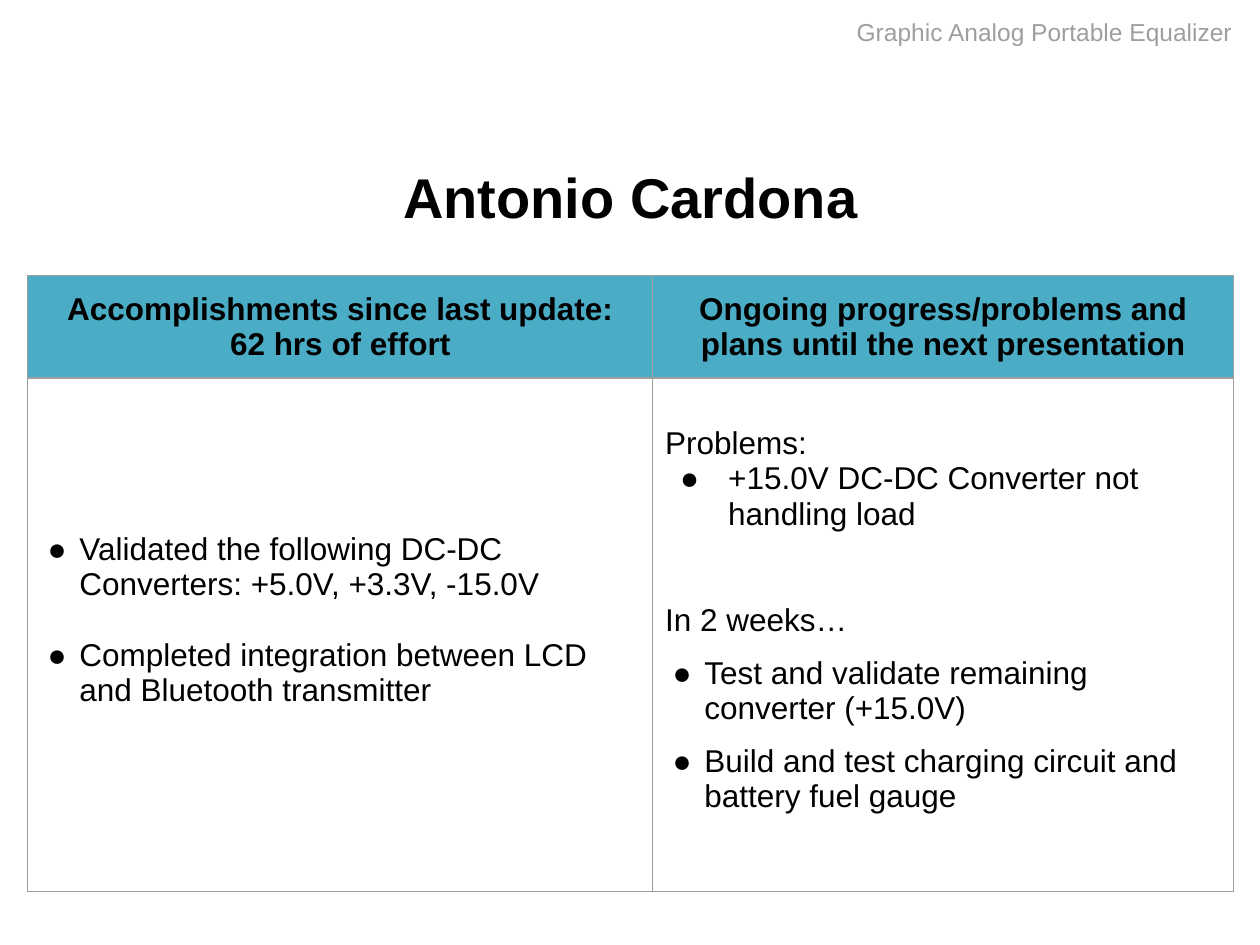
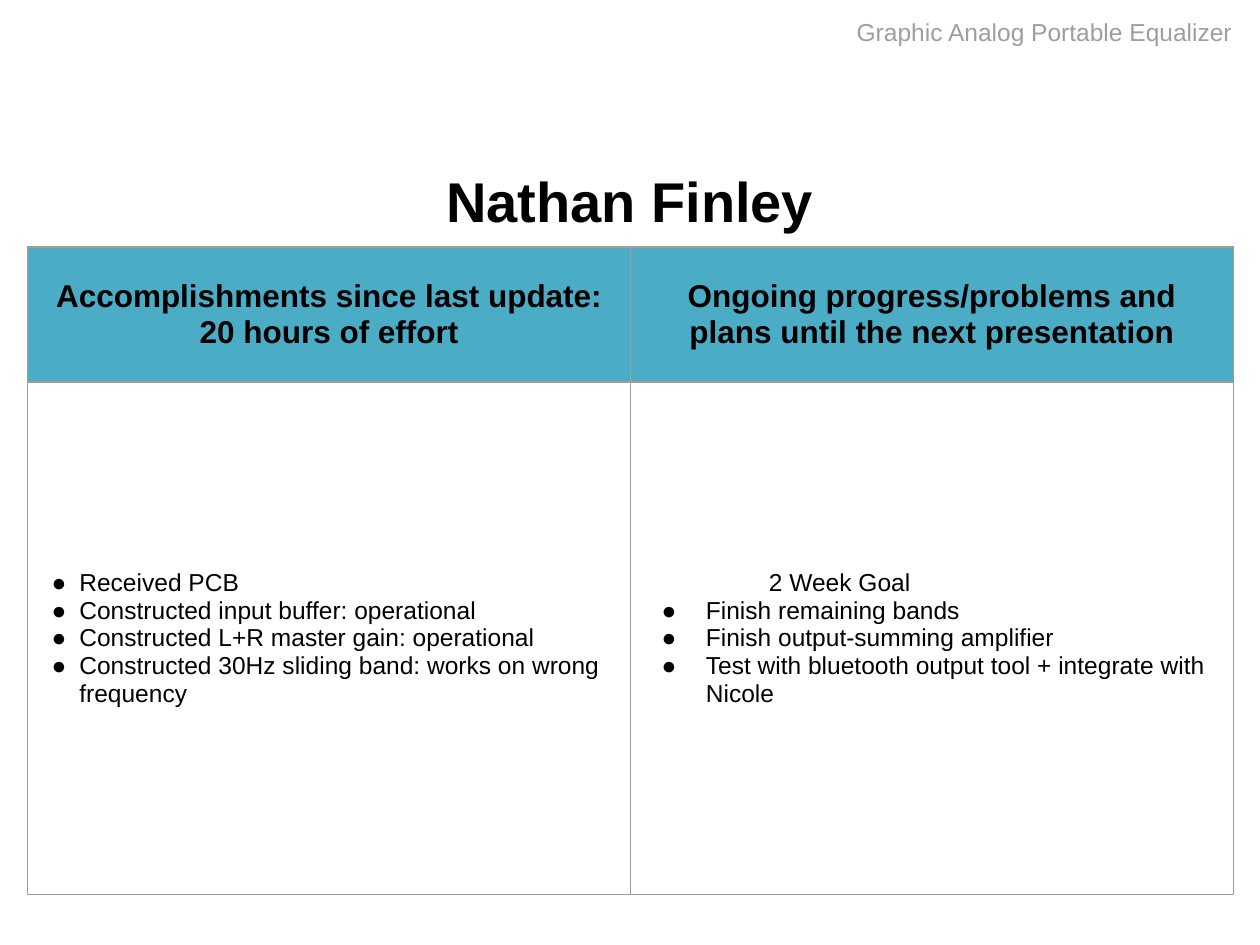
from dataclasses import dataclass
from itertools import product

from lxml.etree import SubElement
from pptx import Presentation
from pptx.dml.color import RGBColor
from pptx.enum.text import MSO_ANCHOR as Anchor, PP_ALIGN as Align
from pptx.oxml.ns import qn
from pptx.util import Cm, Pt

BLACK = RGBColor(0x00, 0x00, 0x00)
GRAY = RGBColor(0x9E, 0x9E, 0x9E)
TEAL = RGBColor(0x4B, 0xAC, 0xC6)
FONT = "Arial"
INSET = 0.25
TABLE_LEFT = 0.56
PLANS_HEADING = ["Ongoing progress/problems and plans until the next presentation"]


@dataclass
class Line:
    text: str
    indent: float = 0
    hanging: float = 0
    before: float = 0


@dataclass
class Column:
    width: float
    heading: list
    lines: list
    top_inset: float = INSET


@dataclass
class Update:
    name: str
    title_box: tuple
    table_top: float
    row_heights: tuple
    columns: list
    size: int
    anchor: Anchor


def bullets(texts, indent, hanging, before=0):
    return [Line(text, indent, hanging, before) for text in texts]


def add_bullet(properties):
    color = SubElement(properties, qn("a:buClr"))
    SubElement(color, qn("a:srgbClr"), val=str(BLACK))
    SubElement(properties, qn("a:buFont"), typeface=FONT)
    SubElement(properties, qn("a:buChar"), char="●")


def write_lines(text_frame, lines, size, color=BLACK, bold=False, align=Align.LEFT):
    text_frame.text = "\n".join(line.text for line in lines)
    for paragraph, line in zip(text_frame.paragraphs, lines):
        properties = paragraph._p.get_or_add_pPr()
        properties.set("marL", str(Cm(line.indent)))
        properties.set("indent", str(Cm(-line.hanging)))
        if line.hanging:
            add_bullet(properties)
        paragraph.alignment = align
        paragraph.space_before = Pt(line.before)
        for run in paragraph.runs:
            run.font.name = FONT
            run.font.size = Pt(size)
            run.font.bold = bold
            run.font.color.rgb = color


def add_text_box(slide, box, inset_y):
    shape = slide.shapes.add_textbox(*map(Cm, box))
    text_frame = shape.text_frame
    text_frame.word_wrap = True
    text_frame.margin_left = text_frame.margin_right = Cm(INSET)
    text_frame.margin_top = text_frame.margin_bottom = Cm(inset_y)
    return text_frame


def add_project_label(slide, box):
    text_frame = add_text_box(slide, box, INSET)
    write_lines(text_frame, [Line("Graphic Analog Portable Equalizer")], 14, GRAY)


def add_title(slide, box, name):
    text_frame = add_text_box(slide, box, 0.13)
    text_frame.vertical_anchor = Anchor.MIDDLE
    write_lines(text_frame, [Line(name)], 32, bold=True, align=Align.CENTER)


def style_cell(cell, anchor, top_inset=INSET):
    cell.margin_left = cell.margin_right = cell.margin_bottom = Cm(INSET)
    cell.margin_top = Cm(top_inset)
    cell.vertical_anchor = anchor
    properties = cell._tc.get_or_add_tcPr()
    for side in "LRTB":
        border = SubElement(properties, qn(f"a:ln{side}"), w=str(Pt(0.75)))
        fill = SubElement(border, qn("a:solidFill"))
        SubElement(fill, qn("a:srgbClr"), val=str(GRAY))


def add_update_table(slide, left, update):
    columns, heights = update.columns, update.row_heights
    width = sum(column.width for column in columns)
    frame = slide.shapes.add_table(len(heights), len(columns), Cm(left),
                                   Cm(update.table_top), Cm(width), Cm(sum(heights)))
    table = frame.table
    for row, height in zip(table.rows, heights):
        row.height = Cm(height)
    for index, column in enumerate(columns):
        table.columns[index].width = Cm(column.width)

        heading = table.cell(0, index)
        style_cell(heading, Anchor.MIDDLE)
        heading.fill.solid()
        heading.fill.fore_color.rgb = TEAL
        write_lines(heading.text_frame, [Line(text) for text in column.heading], 18,
                    bold=True, align=Align.CENTER)

        body = table.cell(1, index)
        style_cell(body, update.anchor, column.top_inset)
        body.fill.background()
        write_lines(body.text_frame, column.lines, update.size)


def add_update_slide(presentation, update):
    slide = presentation.slides.add_slide(presentation.slide_layouts[6])
    add_title(slide, update.title_box, update.name)
    add_update_table(slide, TABLE_LEFT, update)
    add_project_label(slide, (17.02, 0.1, 8.15, 1.12))


UPDATES = [
    Update(
        "Antonio Cardona", (0.46, 2.84, 24.51, 2.24), 5.56, (2.06, 10.36),
        [
            Column(12.6, ["Accomplishments since last update:", "62 hrs of effort"], [
                Line("Validated the following DC-DC Converters: +5.0V, +3.3V, -15.0V",
                     0.79, 0.64),
                Line("Completed integration between LCD and Bluetooth transmitter",
                     0.79, 0.64, 20.2),
            ], 3.1),
            Column(11.71, PLANS_HEADING, [
                Line("Problems:"),
                Line("+15.0V DC-DC Converter not handling load", 1.27, 0.97),
                Line("In 2 weeks…", before=40.5),
                *bullets(["Test and validate remaining converter (+15.0V)",
                          "Build and test charging circuit and battery fuel gauge"],
                         0.79, 0.64, 10),
            ], 0.97),
        ], 18, Anchor.TOP),
    Update(
        "Nathan Finley", (1.27, 2.92, 22.86, 2.24), 4.98, (2.72, 10.34),
        [
            Column(12.15, ["Accomplishments since last update:", "20 hours of effort"],
                   bullets(["Received PCB",
                            "Constructed input buffer: operational",
                            "Constructed L+R master gain: operational",
                            "Constructed 30Hz sliding band: works on wrong frequency"],
                           0.79, 0.56)),
            Column(12.15, PLANS_HEADING, [
                Line("2 Week Goal", 2.54),
                *bullets(["Finish remaining bands",
                          "Finish output-summing amplifier",
                          "Test with bluetooth output tool + integrate with Nicole"],
                         1.27, 0.89),
            ]),
        ], 14, Anchor.MIDDLE),
]


def main():
    presentation = Presentation()
    presentation.slide_width = Cm(25.4)
    presentation.slide_height = Cm(19.05)
    for update in UPDATES:
        add_update_slide(presentation, update)
    presentation.save("out.pptx")


if __name__ == "__main__":
    main()
